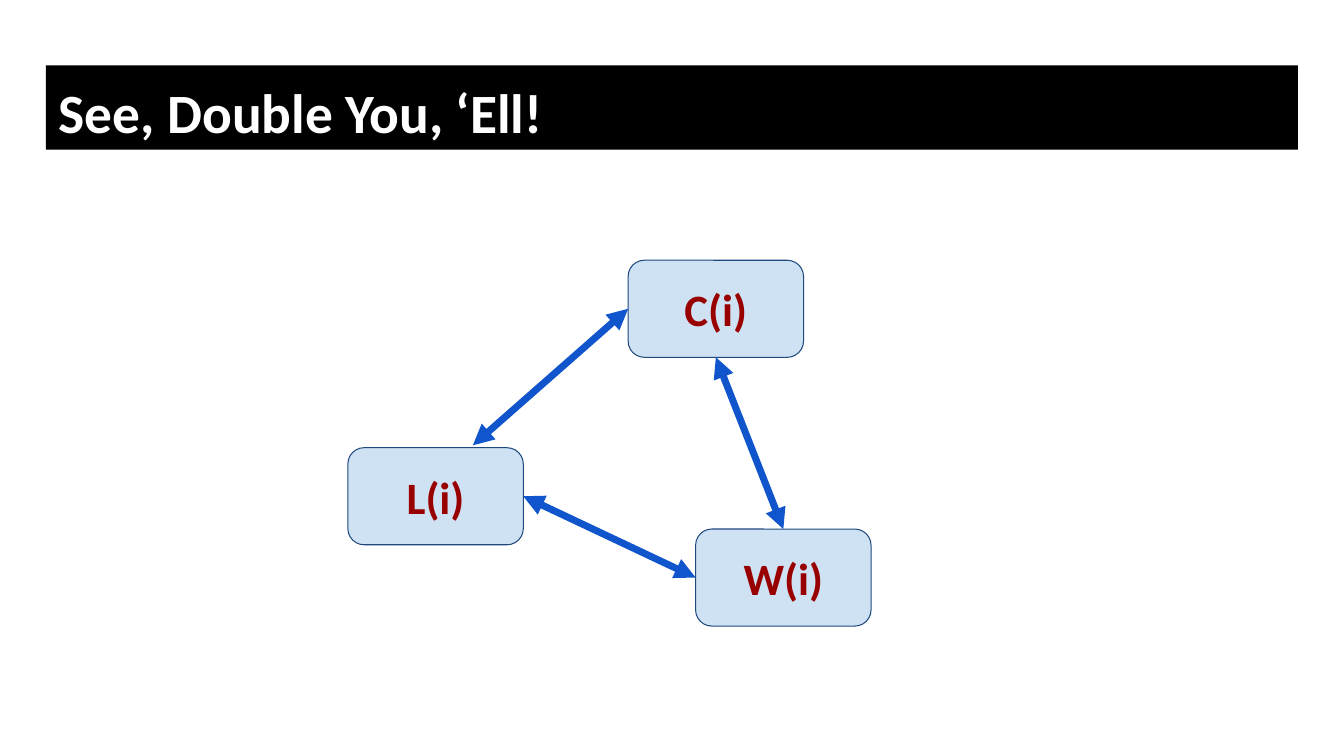
from lxml import etree
from pptx import Presentation
from pptx import util as u
from pptx.dml.color import RGBColor
from pptx.enum import shapes, text
from pptx.oxml.ns import qn

Pt = u.Pt
BLACK = RGBColor(0x00, 0x00, 0x00)
WHITE = RGBColor(0xFF, 0xFF, 0xFF)
PALE_BLUE = RGBColor(0xCF, 0xE2, 0xF3)
NAVY = RGBColor(0x1F, 0x49, 0x7D)
BLUE = RGBColor(0x11, 0x55, 0xCC)
DARK_RED = RGBColor(0x98, 0x00, 0x00)

FONT = "Calibri"
INSET = 9.2
NODE_WIDTH, NODE_HEIGHT = 125.3, 69.3
TOP, LEFT, BOTTOM, RIGHT = range(4)


def write(shape, words, size, color, align, anchor):
    frame = shape.text_frame
    frame.word_wrap = True
    frame.vertical_anchor = anchor
    frame.margin_left = frame.margin_right = Pt(INSET)
    frame.margin_top = frame.margin_bottom = Pt(INSET)
    frame.text = words
    para = frame.paragraphs[0]
    para.alignment = align
    font = para.runs[0].font
    font.name, font.size, font.bold = FONT, Pt(size), True
    font.color.rgb = color


def add_box(page, kind, left, top, width, height, fill):
    box = page.shapes.add_shape(kind, Pt(left), Pt(top), Pt(width), Pt(height))
    box.shadow.inherit = False
    box.fill.solid()
    box.fill.fore_color.rgb = fill
    return box


def add_title_bar(page, left, top, width, height):
    bar = add_box(page, shapes.MSO_SHAPE.RECTANGLE, left, top, width, height, BLACK)
    bar.line.fill.background()
    write(bar, "See, Double You, ‘Ell!", 39.6, WHITE,
          text.PP_ALIGN.LEFT, text.MSO_ANCHOR.TOP)


def add_node(page, label, left, top):
    node = add_box(page, shapes.MSO_SHAPE.ROUNDED_RECTANGLE, left, top,
                   NODE_WIDTH, NODE_HEIGHT, PALE_BLUE)
    node.line.color.rgb = NAVY
    node.line.width = Pt(0.75)
    write(node, label, 32, DARK_RED, text.PP_ALIGN.CENTER, text.MSO_ANCHOR.MIDDLE)
    return node


def add_double_arrow(page, start_x=0, start_y=0):
    arrow = page.shapes.add_connector(
        shapes.MSO_CONNECTOR.STRAIGHT, Pt(start_x), Pt(start_y), Pt(start_x), Pt(start_y))
    arrow.line.color.rgb = BLUE
    arrow.line.width = Pt(5)
    outline = arrow.line._get_or_add_ln()
    for end in ("a:headEnd", "a:tailEnd"):
        etree.SubElement(outline, qn(end), type="triangle")
    etree.SubElement(arrow._element.spPr, qn("a:effectLst"))
    return arrow


def add_triangle_diagram(page, left, top):
    """Place the three nodes and the arrows between each pair."""
    l_node = add_node(page, "L(i)", left, top + 133.9)
    c_node = add_node(page, "C(i)", left + 200.2, top)
    w_node = add_node(page, "W(i)", left + 248.4, top + 192)

    # This arrow starts just above L(i), right of its middle.
    l_to_c = add_double_arrow(page, left + 89.3, top + 132.2)
    l_to_c.end_connect(c_node, LEFT)

    for start, start_side, end, end_side in (
        (c_node, BOTTOM, w_node, TOP),
        (l_node, RIGHT, w_node, LEFT),
    ):
        arrow = add_double_arrow(page)
        arrow.begin_connect(start, start_side)
        arrow.end_connect(end, end_side)


def main():
    deck = Presentation()
    deck.slide_width, deck.slide_height = Pt(960), Pt(540)
    page = deck.slides.add_slide(deck.slide_layouts[6])
    add_title_bar(page, 32.7, 46.8, 894.4, 60.2)
    add_triangle_diagram(page, 248.5, 185.9)
    deck.save("out.pptx")


if __name__ == "__main__":
    main()
